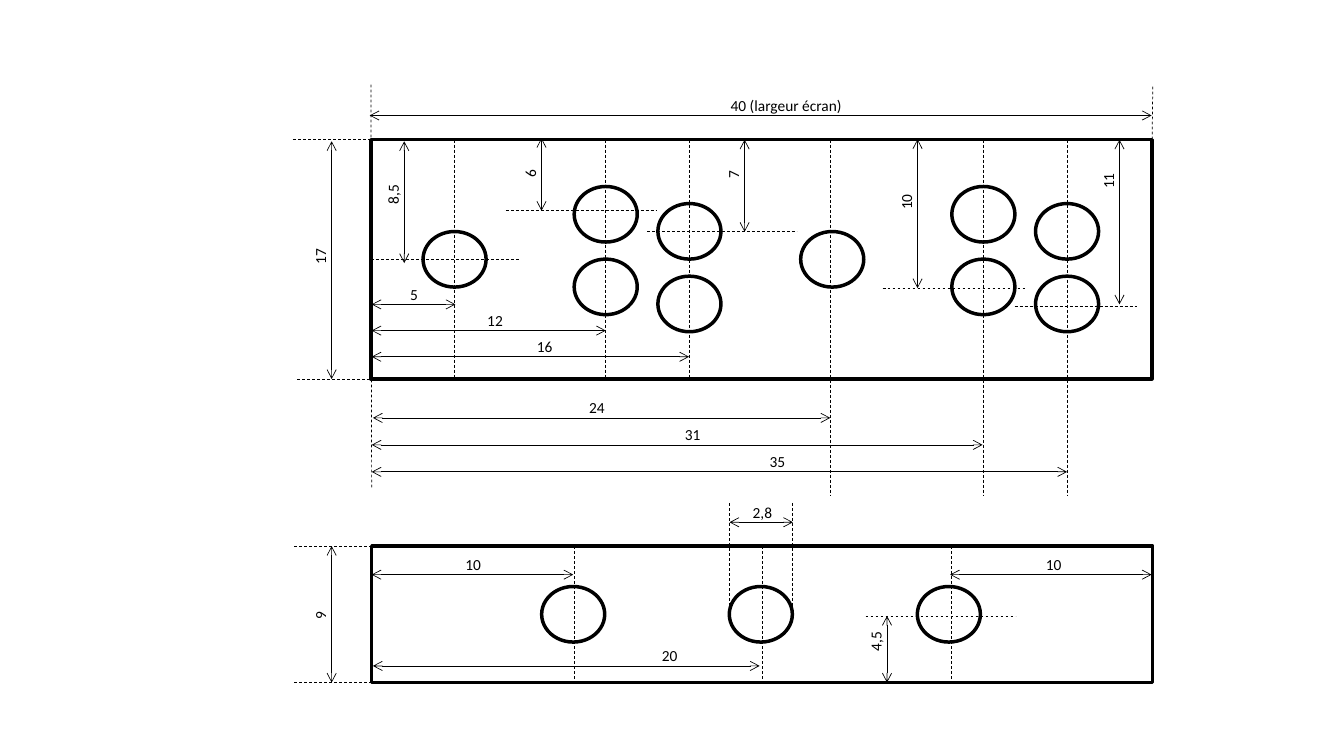
from dataclasses import dataclass

from lxml import etree
from pptx import Presentation
from pptx.dml.color import RGBColor
from pptx.enum.dml import MSO_LINE
from pptx.enum.shapes import MSO_CONNECTOR, MSO_SHAPE
from pptx.enum.text import MSO_ANCHOR, MSO_AUTO_SIZE, PP_ALIGN
from pptx.oxml.ns import qn
from pptx.shapes.autoshape import Shape
from pptx.shapes.connector import Connector
from pptx.shapes.shapetree import SlideShapes
from pptx.util import Cm, Pt

RECTANGLE, ELLIPSE = MSO_SHAPE.RECTANGLE, MSO_SHAPE.OVAL
STRAIGHT = MSO_CONNECTOR.STRAIGHT
DASH = MSO_LINE.DASH
CENTER, MIDDLE = PP_ALIGN.CENTER, MSO_ANCHOR.MIDDLE
FIT_TEXT = MSO_AUTO_SIZE.SHAPE_TO_FIT_TEXT
TOP, LEFT, BOTTOM = 0, 1, 2


@dataclass(frozen=True)
class Theme:
    ink: RGBColor = RGBColor(0, 0, 0)
    font: str = "Calibri"
    label_size: Pt = Pt(11)
    outline: Pt = Pt(2.5)
    thin: Pt = Pt(0.5)


@dataclass(frozen=True)
class Panel:
    left: float
    top: float
    width: float
    height: float

    @property
    def right(self) -> float:
        return self.left + self.width

    @property
    def bottom(self) -> float:
        return self.top + self.height


@dataclass(frozen=True)
class Line:
    x1: float
    y1: float
    x2: float
    y2: float


@dataclass(frozen=True)
class Dimension:
    """A measure drawn at a fixed level, with its label centred at label_at."""
    label: str
    level: float
    start: float
    end: float
    label_at: float


THEME = Theme()
FRONT = Panel(9.35, 3.52, 19.69, 6.03)
SIDE = Panel(9.37, 13.76, 19.69, 3.44)
HOLE_WIDTH, HOLE_HEIGHT = 1.59, 1.4
FRONT_MIDDLE = FRONT.top + FRONT.height / 2
SIDE_MIDDLE = SIDE.top + SIDE.height / 2
SIDE_CENTRE = SIDE.left + SIDE.width / 2

# Five holes per player, repeated for the second player
PLAYER_STEP = 9.52
PLAYER_HOLES = [(11.46, FRONT_MIDDLE), (15.27, 5.4), (15.27, 7.23),
                (17.38, 5.83), (17.38, 7.66)]
SIDE_HOLES = [14.45, 19.18, 23.92]

AXES = (
    [Line(x, FRONT.top, x, FRONT.bottom) for x in (11.46, 15.27, 17.38)]
    + [Line(x, FRONT.top, x, 12.5) for x in (20.94, 24.79, 26.9)]
    + [Line(x, SIDE.top, x, SIDE.bottom) for x in (14.48, 23.98)]
    + [Line(x1, y, x2, y) for y, x1, x2 in (
        (5.31, 12.75, 16.54), (5.84, 16.31, 20.09), (7.26, 22.25, 25.88),
        (7.72, 25.58, 28.65), (15.52, 21.82, 25.6))]
)
EXTENSIONS = [
    Line(9.35, 2.13, 9.37, 12.32),
    Line(29.06, 2.18, 29.03, 4.55),
    Line(7.39, FRONT.top, 9.35, FRONT.top),
    Line(7.49, FRONT.bottom, 9.45, FRONT.bottom),
    Line(7.42, SIDE.top, SIDE.left, SIDE.top),
    Line(7.42, SIDE.bottom, SIDE.left, SIDE.bottom),
    Line(18.39, 12.67, 18.39, 15.47),
    Line(19.97, 12.67, 19.97, 15.47),
]
WIDTHS = [
    Dimension("40 (largeur écran)", 2.91, 9.32, 29.03, 19.82),
    Dimension("5", 7.67, 9.37, 11.48, 10.44),
    Dimension("12", 8.33, 9.37, 15.27, 12.48),
    Dimension("16", 8.99, 9.37, 17.37, 13.73),
    Dimension("24", 10.53, 9.4, 20.93, 15.05),
    Dimension("31", 11.21, 9.37, 24.77, 17.46),
    Dimension("35", 11.89, 9.37, 26.9, 19.6),
    Dimension("2,8", 13.16, 18.39, 19.99, 19.22),
    Dimension("10", 14.48, 9.37, 14.45, 11.93),
    Dimension("10", 14.48, 23.95, 29.03, 26.56),
    Dimension("20", 16.78, 9.4, 19.15, 16.88),
]
HEIGHTS = [
    Dimension("17", 8.36, FRONT.bottom, 3.56, 6.46),
    Dimension("8,5", 10.19, 6.63, 3.56, 4.91),
    Dimension("6", 13.65, 5.31, 3.48, 4.38),
    Dimension("7", 18.77, 5.84, FRONT.top, 4.41),
    Dimension("10", 23.13, 7.26, 3.51, 5.09),
    Dimension("11", 28.22, 7.67, FRONT.top, 4.56),
    Dimension("9", 8.36, SIDE.bottom, SIDE.top, 15.51),
    Dimension("4,5", 22.36, SIDE.bottom, 15.52, 16.17),
]


def draw_outline(shapes: SlideShapes, kind: MSO_SHAPE, area: Panel) -> Shape:
    outline = shapes.add_shape(kind, Cm(area.left), Cm(area.top),
                               Cm(area.width), Cm(area.height))
    outline.shadow.inherit = False
    outline.fill.background()
    outline.line.color.rgb = THEME.ink
    outline.line.width = THEME.outline
    return outline


def draw_hole(shapes: SlideShapes, x: float, y: float) -> None:
    draw_outline(shapes, ELLIPSE, Panel(x - HOLE_WIDTH / 2, y - HOLE_HEIGHT / 2,
                                        HOLE_WIDTH, HOLE_HEIGHT))


def draw_line(shapes: SlideShapes, line: Line) -> Connector:
    connector = shapes.add_connector(STRAIGHT, Cm(line.x1), Cm(line.y1),
                                     Cm(line.x2), Cm(line.y2))
    connector.line.color.rgb = THEME.ink
    connector.line.width = THEME.thin
    etree.SubElement(connector._element.spPr, qn("a:effectLst"))
    return connector


def draw_dashed(shapes: SlideShapes, line: Line) -> Connector:
    connector = draw_line(shapes, line)
    connector.line.dash_style = DASH
    return connector


def draw_arrow(shapes: SlideShapes, line: Line) -> None:
    outline = draw_line(shapes, line).line._get_or_add_ln()
    for end in ("a:headEnd", "a:tailEnd"):
        etree.SubElement(outline, qn(end), type="arrow")


def draw_label(shapes: SlideShapes, text: str, x: float, y: float,
               rotation: int = 0) -> None:
    width, height = 0.6 + 0.17 * len(text), 0.74
    label = shapes.add_textbox(Cm(x - width / 2), Cm(y - height / 2),
                               Cm(width), Cm(height))
    label.rotation = rotation
    frame = label.text_frame
    frame.word_wrap = False
    frame.auto_size = FIT_TEXT
    frame.vertical_anchor = MIDDLE
    paragraph = frame.paragraphs[0]
    paragraph.text = text
    paragraph.alignment = CENTER
    paragraph.font.name = THEME.font
    paragraph.font.size = THEME.label_size
    paragraph.font.color.rgb = THEME.ink


def main() -> None:
    deck = Presentation()
    deck.slide_width, deck.slide_height = Cm(33.88), Cm(19.05)
    shapes = deck.slides.add_slide(deck.slide_layouts[6]).shapes

    front = draw_outline(shapes, RECTANGLE, FRONT)
    side = draw_outline(shapes, RECTANGLE, SIDE)
    for x, y in PLAYER_HOLES:
        draw_hole(shapes, x, y)
        draw_hole(shapes, x + PLAYER_STEP, y)
    for x in SIDE_HOLES:
        draw_hole(shapes, x, SIDE_MIDDLE)

    for line in AXES + EXTENSIONS:
        draw_dashed(shapes, line)
    front_axis = draw_dashed(
        shapes, Line(FRONT.left, FRONT_MIDDLE, 13.11, FRONT_MIDDLE))
    front_axis.begin_connect(front, LEFT)
    side_axis = draw_dashed(
        shapes, Line(SIDE_CENTRE, SIDE.top, SIDE_CENTRE, SIDE.bottom))
    side_axis.begin_connect(side, TOP)
    side_axis.end_connect(side, BOTTOM)

    for size in WIDTHS:
        draw_arrow(shapes, Line(size.start, size.level, size.end, size.level))
        draw_label(shapes, size.label, size.label_at, size.level - 0.26)
    for size in HEIGHTS:
        draw_arrow(shapes, Line(size.level, size.start, size.level, size.end))
        draw_label(shapes, size.label, size.level - 0.29, size.label_at, 270)

    deck.save("out.pptx")


if __name__ == "__main__":
    main()
